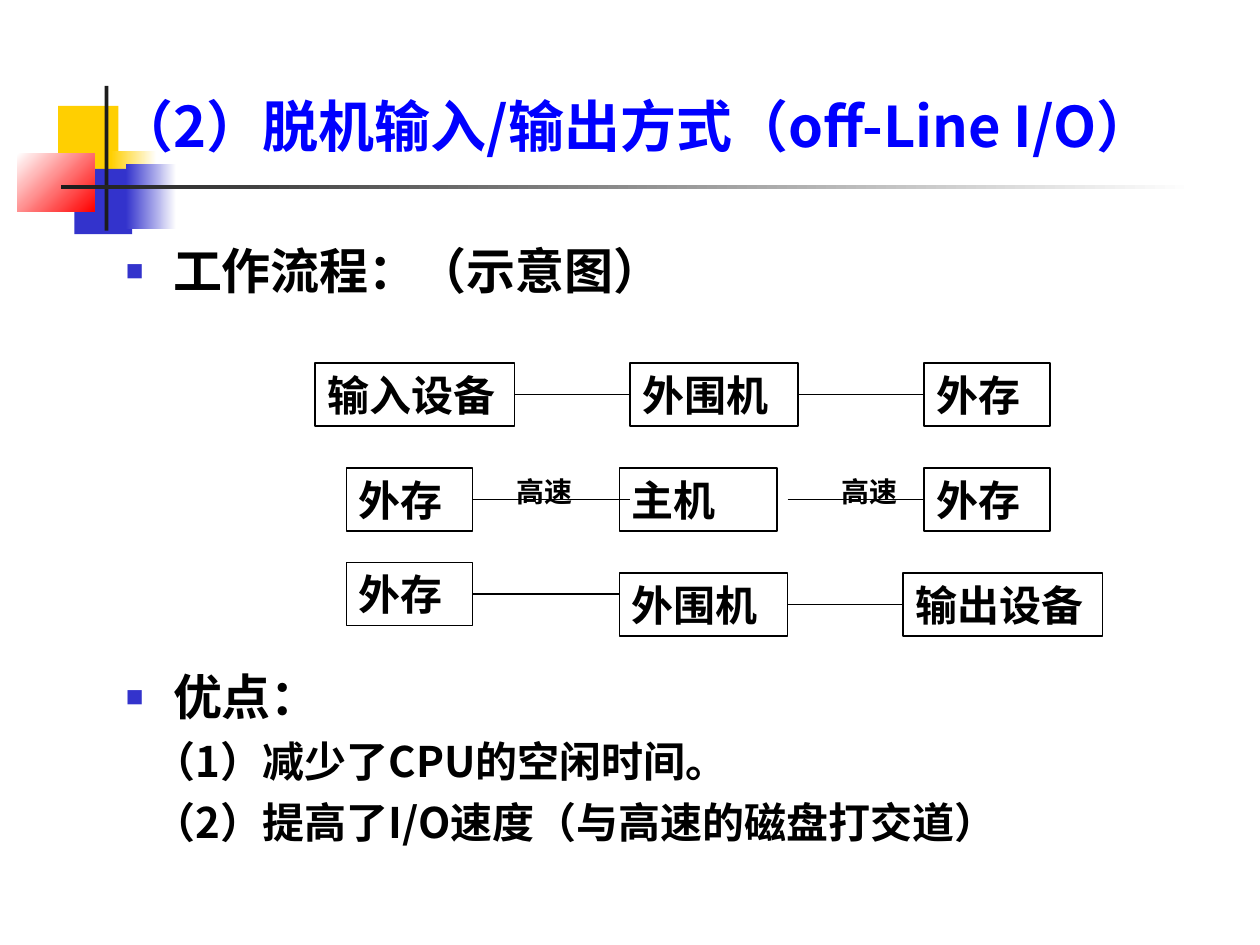
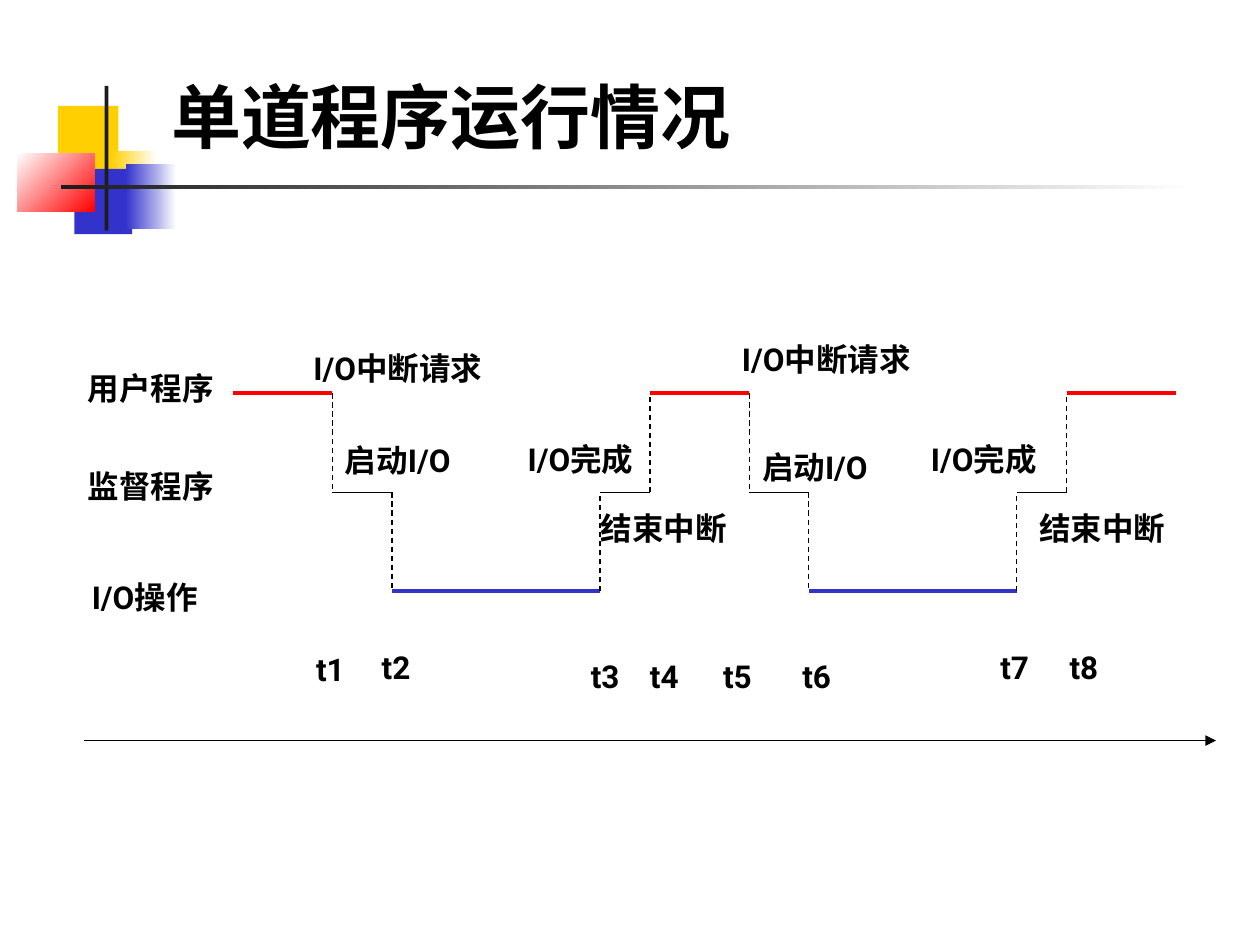
from dataclasses import dataclass
from itertools import pairwise
from typing import Any, NamedTuple

from lxml.etree import SubElement
from pptx import Presentation
from pptx.dml.color import RGBColor
from pptx.enum.dml import MSO_LINE
from pptx.enum.shapes import MSO_CONNECTOR, MSO_SHAPE
from pptx.enum.text import MSO_ANCHOR, MSO_AUTO_SIZE as AUTO, PP_ALIGN
from pptx.oxml.ns import qn
from pptx.util import Pt

COLORS = {
    "black": "000000",
    "white": "FFFFFF",
    "ink": "1C1C1C",
    "gold": "FFCF01",
    "indigo": "3333CC",
    "red": "FF0000",
    "title_blue": "0000FF",
}
CJK = "Noto Sans CJK SC"
INSETS = {
    "margin_left": Pt(7.2),
    "margin_right": Pt(7.2),
    "margin_top": Pt(3.6),
    "margin_bottom": Pt(3.6),
}


class Box(NamedTuple):
    x: float
    y: float
    w: float
    h: float


class Band(NamedTuple):
    box: Box
    start: str
    end: str = ""
    angle: float = 0


class Style(NamedTuple):
    size: float
    font: str
    color: str = "black"


class Stroke(NamedTuple):
    color: str = "black"
    width: float = 0.75
    dashed: bool = False
    arrow: bool = False


@dataclass
class Para:
    text: str
    style: Style
    before: float = 0
    indent: float = 0
    bullet: bool = False


@dataclass
class Label:
    text: str
    box: Box


BANDS = [
    Band(Box(33.2, 60.5, 34.5, 37.4), "gold"),
    Band(Box(63.4, 86.4, 26, 37.4), "gold", "white"),
    Band(Box(42.5, 96.5, 33.1, 37.4), "indigo"),
    Band(Box(72, 93.6, 28.8, 37.4), "indigo", "white"),
    Band(Box(10, 87.8, 44, 33.2), "white", "red", 315),
    Band(Box(59.8, 49, 2.2, 82.8), "ink"),
    Band(Box(34.6, 105.8, 648, 2.2), "ink", "white"),
]
BODY = Style(28, CJK)
POINT = Style(24, CJK)
NODE = Style(24, "Times New Roman")
SPEED = Style(16, "Roboto")
TIMING = Style(18, "Roboto")
THIN = Stroke()
DASHED = Stroke(dashed=True)

NODE_H = 36
NODES = [
    Label(text, Box(x, y, w, NODE_H))
    for y, row in [
        (207.5, [("输入设备", 180, 114), ("外围机", 360, 96), ("外存", 528, 72)]),
        (267.5, [("外存", 198, 72), ("主机", 354, 90), ("外存", 528, 72)]),
        (321.5, [("外存", 198, 72)]),
        (327.5, [("外围机", 354, 96), ("输出设备", 516, 114)]),
    ]
    for text, x, w in row
]
LINKS = [
    (294, 360, 225.5),
    (456, 528, 225.5),
    (270, 360, 285.5),
    (450, 528, 285.5),
    (270, 354, 339.5),
    (450, 516, 345.5),
]
SPEEDS = [
    Label("高速", Box(288, 267.5, 48, 26.6)),
    Label("高速", Box(474, 267.5, 54, 26.6)),
]

USER, MONITOR, IO = 224.8, 281.4, 338
LEVEL_STROKES = {
    USER: Stroke("red", 2.25),
    MONITOR: THIN,
    IO: Stroke("indigo", 2.25),
}
PERIOD = 238.2
CYCLE = [190, 224, 342.8, 371.4]
TIMES = [133.2, *CYCLE, *(t + PERIOD for t in CYCLE), 671.8]
LEVELS = [USER] + [MONITOR, IO, MONITOR, USER] * 2

LABEL_H = 28.8
LABEL_W = {"I/O操作": 83.5, "启动I/O": 83.5, "I/O完成": 83.5, "I/O中断请求": 119.5}
TICK_W, WORD_W = 32.4, 86.4
LABEL_SPOTS = [
    ("用户程序", 43.2, 207.4),
    ("监督程序", 43.2, 263.5),
    ("I/O操作", 45.4, 326.9),
    ("I/O中断请求", 172, 195.8),
    ("启动I/O", 190, 248.4),
    ("I/O完成", 294.5, 247.7),
    ("结束中断", 336.2, 287.3),
    ("I/O中断请求", 416.9, 190.8),
    ("启动I/O", 428.4, 252.7),
    ("I/O完成", 524.9, 247.7),
    ("结束中断", 586.8, 287.3),
]
TICK_SPOTS = [
    (173.5, 367.9), (211, 366.5), (330.5, 372.2), (364.3, 372.2),
    (406.1, 372.2), (451.4, 372.2), (564.5, 366.5), (604.1, 366.5),
]


def rgb(name: str) -> RGBColor:
    return RGBColor.from_string(COLORS[name])


def assign(target: Any, values: dict[str, Any]) -> None:
    for name, value in values.items():
        setattr(target, name, value)


def place(box: Box) -> tuple[Pt, ...]:
    return tuple(Pt(v) for v in box)


def add_bullet(p: Any) -> None:
    p_pr = p._p.get_or_add_pPr()
    color = SubElement(p_pr, qn("a:buClr"))
    SubElement(color, qn("a:srgbClr"), val=COLORS["indigo"])
    SubElement(p_pr, qn("a:buSzPct"), val="60000")
    SubElement(p_pr, qn("a:buFont"), typeface="Arial")
    SubElement(p_pr, qn("a:buChar"), char="■")


def write(sp: Any, paras: list[Para], **frame: Any) -> None:
    tf = sp.text_frame
    assign(tf, INSETS | {"word_wrap": True, "vertical_anchor": MSO_ANCHOR.TOP} | frame)
    for i, para in enumerate(paras):
        p = tf.add_paragraph() if i else tf.paragraphs[0]
        p.alignment = PP_ALIGN.LEFT
        if para.before:
            p.space_before = Pt(para.before)
        if para.indent:
            p_pr = p._p.get_or_add_pPr()
            p_pr.set("marL", str(Pt(para.indent)))
            p_pr.set("indent", str(-Pt(para.indent) if para.bullet else 0))
        if para.bullet:
            add_bullet(p)
        r = p.add_run()
        r.text = para.text
        style = para.style
        assign(r.font, {"size": Pt(style.size), "bold": True, "name": style.font})
        r.font.color.rgb = rgb(style.color)
        SubElement(r._r.get_or_add_rPr(), qn("a:ea"), typeface=CJK)


def add_text(s: Any, box: Box, paras: list[Para], **frame: Any) -> None:
    write(s.shapes.add_textbox(*place(box)), paras, **frame)


def add_rect(s: Any, box: Box) -> Any:
    sp = s.shapes.add_shape(MSO_SHAPE.RECTANGLE, *place(box))
    sp.shadow.inherit = False
    return sp


def add_band(s: Any, band: Band) -> None:
    sp = add_rect(s, band.box)
    sp.line.fill.background()
    if band.end:
        sp.fill.gradient()
        sp.fill.gradient_angle = band.angle
        for stop, color in zip(sp.fill.gradient_stops, (band.start, band.end)):
            stop.color.rgb = rgb(color)
    else:
        sp.fill.solid()
        sp.fill.fore_color.rgb = rgb(band.start)


def add_node(s: Any, node: Label) -> None:
    sp = add_rect(s, node.box)
    sp.fill.background()
    sp.line.color.rgb = rgb("black")
    sp.line.width = Pt(0.75)
    write(sp, [Para(node.text, NODE)], auto_size=AUTO.SHAPE_TO_FIT_TEXT)


def add_line(s: Any, x1: float, y1: float, x2: float, y2: float, stroke: Stroke = THIN) -> None:
    cx = s.shapes.add_connector(MSO_CONNECTOR.STRAIGHT, Pt(x1), Pt(y1), Pt(x2), Pt(y2))
    cx.line.color.rgb = rgb(stroke.color)
    cx.line.width = Pt(stroke.width)
    if stroke.dashed:
        cx.line.dash_style = MSO_LINE.DASH
    if stroke.arrow:
        SubElement(cx.line._get_or_add_ln(), qn("a:tailEnd"), type="triangle")
    SubElement(cx._element.spPr, qn("a:effectLst"))


def add_slide(prs: Any, title: str, box: Box, style: Style) -> Any:
    s = prs.slides.add_slide(prs.slide_layouts[6])
    for band in BANDS:
        add_band(s, band)
    add_text(s, box, [Para(title, style)], vertical_anchor=MSO_ANCHOR.BOTTOM)
    return s


def build_offline_io(prs: Any) -> None:
    s = add_slide(prs, "（2）脱机输入/输出方式（off-Line I/O）",
                  Box(59.8, 4.3, 660.2, 90), Style(32, CJK, "title_blue"))
    add_text(s, Box(64.8, 133.9, 623.5, 48),
             [Para("工作流程：（示意图）", BODY, indent=27, bullet=True)])
    add_text(s, Box(64.8, 377.3, 623.5, 136.8), [
        Para("优点：", BODY, indent=27, bullet=True),
        Para("（1）减少了CPU的空闲时间。", POINT, 6, 16),
        Para("（2）提高了I/O速度（与高速的磁盘打交道）", POINT, 6, 16),
    ])
    for node in NODES:
        add_node(s, node)
    for x1, x2, y in LINKS:
        add_line(s, x1, y, x2, y)
    for speed in SPEEDS:
        add_text(s, speed.box, [Para(speed.text, SPEED)], auto_size=AUTO.SHAPE_TO_FIT_TEXT)


def build_single_program(prs: Any) -> None:
    s = add_slide(prs, "单道程序运行情况", Box(90.7, 3.6, 613.4, 90), Style(40, "Arial"))
    add_line(s, 48, 423.2, 694.8, 423.2, Stroke(arrow=True))
    for (start, end), level in zip(pairwise(TIMES), LEVELS):
        add_line(s, start, level, end, level, LEVEL_STROKES[level])
    for time, (above, below) in zip(TIMES[1:], pairwise(LEVELS)):
        add_line(s, time, above, time, below, DASHED)
    labels = [Label(text, Box(x, y, LABEL_W.get(text, WORD_W), LABEL_H))
              for text, x, y in LABEL_SPOTS]
    labels += [Label(f"t{i}", Box(x, y, TICK_W, LABEL_H))
               for i, (x, y) in enumerate(TICK_SPOTS, 1)]
    for label in labels:
        add_text(s, label.box, [Para(label.text, TIMING)],
                 word_wrap=False, auto_size=AUTO.SHAPE_TO_FIT_TEXT)


def main() -> None:
    prs = Presentation()
    assign(prs, {"slide_width": Pt(720), "slide_height": Pt(540)})
    build_offline_io(prs)
    build_single_program(prs)
    prs.save("out.pptx")


if __name__ == "__main__":
    main()
